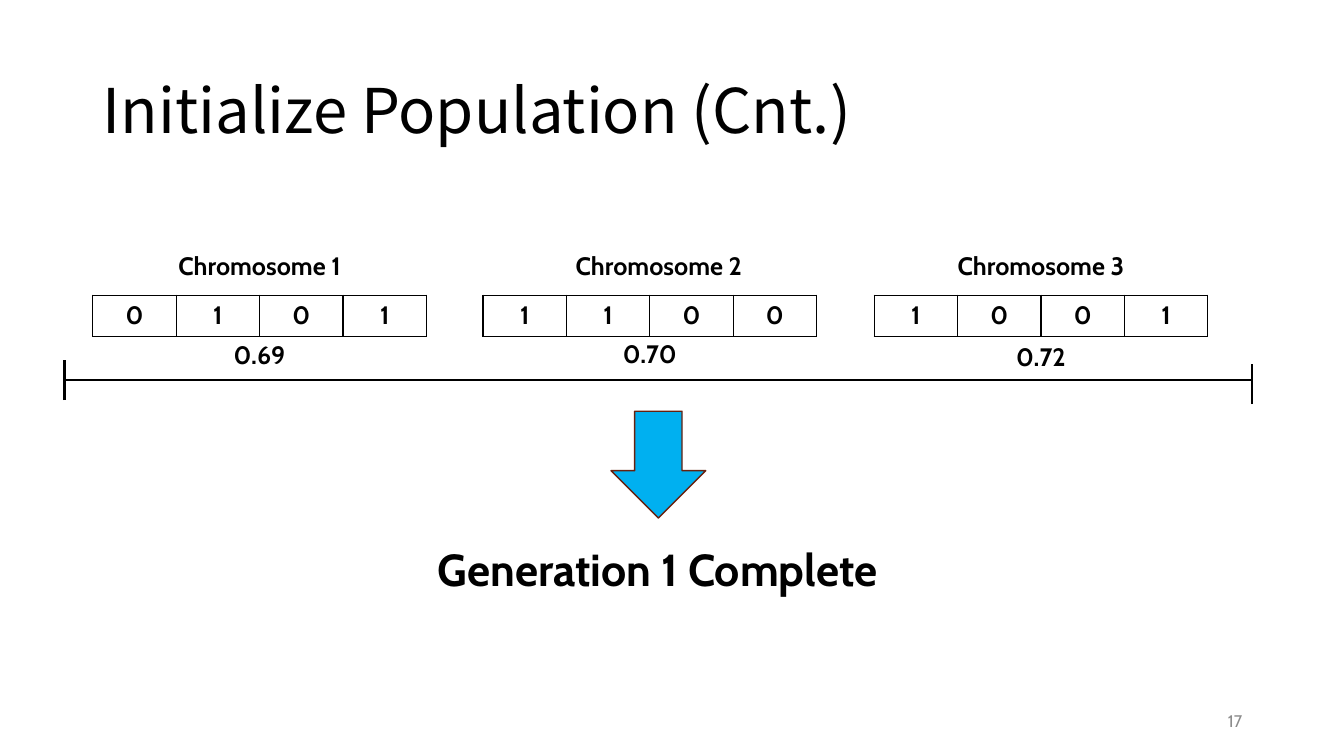
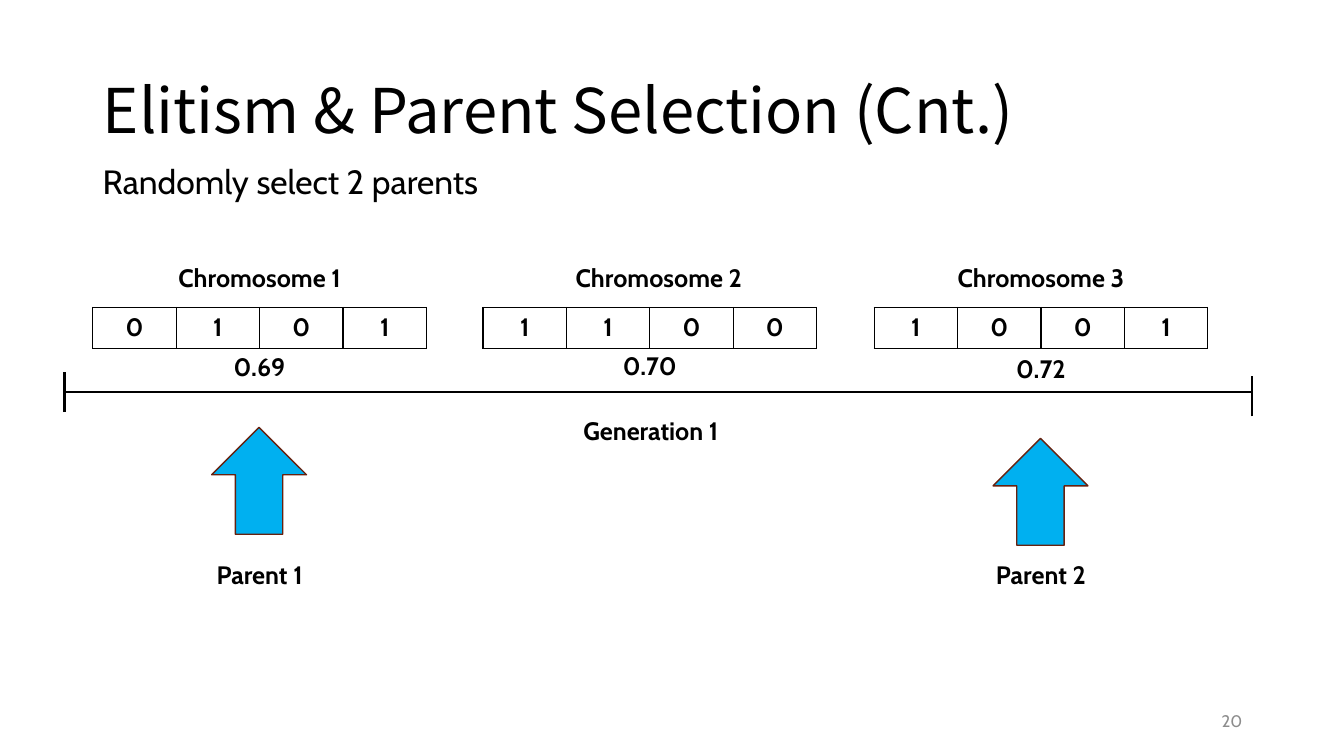
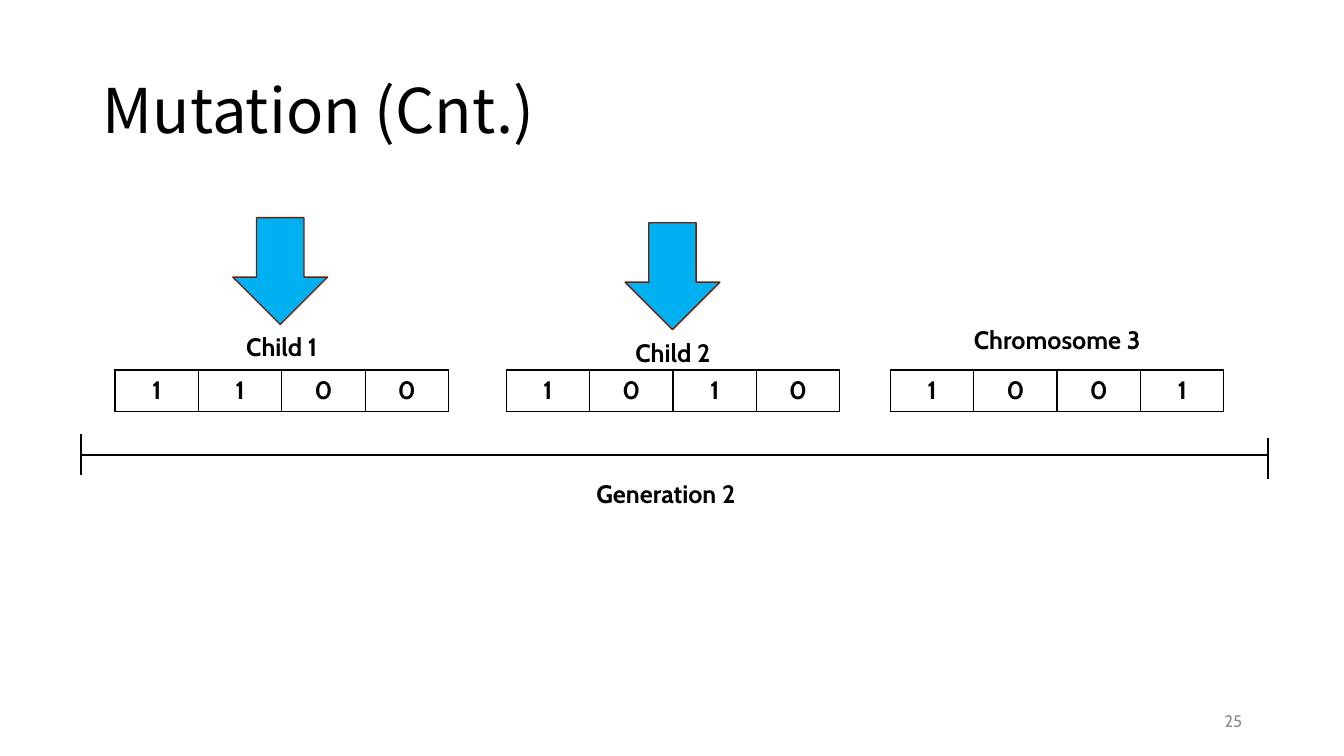
from lxml.etree import SubElement
from pptx import Presentation
from pptx.dml.color import RGBColor
from pptx.enum.shapes import MSO_CONNECTOR, MSO_SHAPE
from pptx.enum.text import MSO_ANCHOR, MSO_AUTO_SIZE, PP_ALIGN
from pptx.oxml import parse_xml
from pptx.oxml.ns import nsdecls, qn
from pptx.util import Emu, Pt

EMU_PER_PX = 9144
TITLE_FONT, TEXT_FONT = "Noto Sans CJK JP", "Cabin"
BLACK, GREY, BLUE, BROWN = "000000", "8C8C8C", "00B0F0", "66210F"
LABEL_WIDTH, LABEL_HEIGHT, LABEL_INSET = 283, 40, 24
TABLE_WIDTH, TABLE_HEIGHT = 331, 41
ARROW_WIDTH, ARROW_HEIGHT = 94, 106
BRACKET_WIDTH = 1178


def px(*lengths):
    """Turn px lengths into a list of EMU lengths."""
    return [Emu(length * EMU_PER_PX) for length in lengths]


def color(code):
    """Turn a hex string into a colour."""
    return RGBColor.from_string(code)


def write(frame, text, size=18, font=TEXT_FONT, fill=BLACK, bold=False,
          align=PP_ALIGN.CENTER, spacing=None):
    """Fill a text frame with one formatted paragraph."""
    para = frame.paragraphs[0]
    para.alignment = align
    para.line_spacing = spacing
    span = para.add_run()
    span.text = text
    span.font.size = Pt(size)
    span.font.name = font
    span.font.bold = bold
    span.font.color.rgb = color(fill)


def text_box(page, text, left, top, width, height, anchor=MSO_ANCHOR.TOP, **style):
    """Add a wrapping text box."""
    frame = page.shapes.add_textbox(*px(left, top, width, height)).text_frame
    frame.word_wrap = True
    frame.vertical_anchor = anchor
    write(frame, text, **style)


def label(page, text, left, top):
    """Add a bold centred label of the standard size."""
    text_box(page, text, left, top, LABEL_WIDTH, LABEL_HEIGHT, bold=True)


def add_page(deck, title, number):
    """Add a slide with its title and page number."""
    page = deck.slides.add_slide(deck.slide_layouts[5])
    heading = page.shapes.title
    heading.left, heading.top, heading.width, heading.height = px(92, 40, 1150, 145)
    frame = heading.text_frame
    frame.auto_size = MSO_AUTO_SIZE.NONE
    frame.vertical_anchor = MSO_ANCHOR.MIDDLE
    write(frame, title, size=44, font=TITLE_FONT, align=PP_ALIGN.LEFT, spacing=0.9)
    text_box(page, str(number), 942, 695, 300, 40, anchor=MSO_ANCHOR.MIDDLE,
             size=12, fill=GREY, align=PP_ALIGN.RIGHT)
    return page


def outline_cell(cell):
    """Draw a thin black border on all sides of a cell."""
    properties = cell._tc.get_or_add_tcPr()
    for index, side in enumerate("LRTB"):
        properties.insert(index, parse_xml(
            f'<a:ln{side} {nsdecls("a")} w="{Pt(1)}"><a:solidFill>'
            f'<a:srgbClr val="{BLACK}"/></a:solidFill></a:ln{side}>'))


def gene_table(page, genes, left, top):
    """Add a one-row table with one gene in each cell."""
    table = page.shapes.add_table(
        1, len(genes), *px(left, top, TABLE_WIDTH, TABLE_HEIGHT)).table
    table.first_row = table.horz_banding = False
    for cell, gene in zip(table.rows[0].cells, genes):
        cell.fill.background()
        outline_cell(cell)
        write(cell.text_frame, gene, bold=True)


def bracket(page, left, top):
    """Add a grouped horizontal line with a tick at each end."""
    group = page.shapes.add_group_shape()
    right = left + BRACKET_WIDTH
    for ends in ((left, top, right, top),
                 (left, top + 20, left, top - 20),
                 (right, top + 24, right, top - 16)):
        line = group.shapes.add_connector(MSO_CONNECTOR.STRAIGHT, *px(*ends))
        line.line.color.rgb = color(BLACK)
        line.line.width = Pt(1.5)
        SubElement(line._element.spPr, qn("a:effectLst"))


def arrow(page, kind, left, top):
    """Add a blue block arrow."""
    shape = page.shapes.add_shape(kind, *px(left, top, ARROW_WIDTH, ARROW_HEIGHT))
    shape.shadow.inherit = False
    shape.fill.solid()
    shape.fill.fore_color.rgb = color(BLUE)
    shape.line.color.rgb = color(BROWN)
    shape.line.width = Pt(1)


def first_generation(page, top):
    """Draw the three scored chromosomes, with their tables at the given top."""
    members = (("0101", "0.69", 116, 39), ("1100", "0.70", 512, 38),
               ("1001", "0.72", 891, 41))
    for index, (genes, fitness, name_left, drop) in enumerate(members):
        left = 92 + index * 775 // 2
        gene_table(page, genes, left, top)
        label(page, f"Chromosome {index + 1}", name_left, top - 50)
        label(page, fitness, left + LABEL_INSET, top + drop)
    bracket(page, 64, top + 84)


def initialize_population(deck):
    """Build the slide on the completed first generation."""
    page = add_page(deck, "Initialize Population (Cnt.)", 17)
    first_generation(page, 293)
    arrow(page, MSO_SHAPE.DOWN_ARROW, 606, 408)
    text_box(page, "Generation 1 Complete", 373, 533, 559, 64, size=32, bold=True)


def parent_selection(deck):
    """Build the slide on choosing two parents."""
    page = add_page(deck, "Elitism & Parent Selection (Cnt.)", 20)
    text_box(page, "Randomly select 2 parents", 92, 155, 1150, 50,
             size=24, align=PP_ALIGN.LEFT)
    first_generation(page, 305)
    label(page, "Generation 1", 504, 407)
    for name, left, top in (("Parent 1", 116, 424), ("Parent 2", 891, 435)):
        arrow(page, MSO_SHAPE.UP_ARROW, left + (LABEL_WIDTH - ARROW_WIDTH) // 2, top)
        label(page, name, left, 550)


def mutation(deck):
    """Build the slide on the second generation."""
    page = add_page(deck, "Mutation (Cnt.)", 25)
    for name, genes, left, name_top in (("Child 1", "1100", 114, 324),
                                        ("Child 2", "1010", 502, 330),
                                        ("Chromosome 3", "1001", 883, 317)):
        gene_table(page, genes, left, 367)
        label(page, name, left + LABEL_INSET, name_top)
    for left, top in ((231, 216), (620, 221)):
        arrow(page, MSO_SHAPE.DOWN_ARROW, left, top)
    bracket(page, 80, 451)
    label(page, "Generation 2", 519, 470)


def main():
    """Build and save the deck."""
    deck = Presentation()
    deck.slide_width, deck.slide_height = px(1333, 750)
    initialize_population(deck)
    parent_selection(deck)
    mutation(deck)
    deck.save("out.pptx")


if __name__ == "__main__":
    main()
